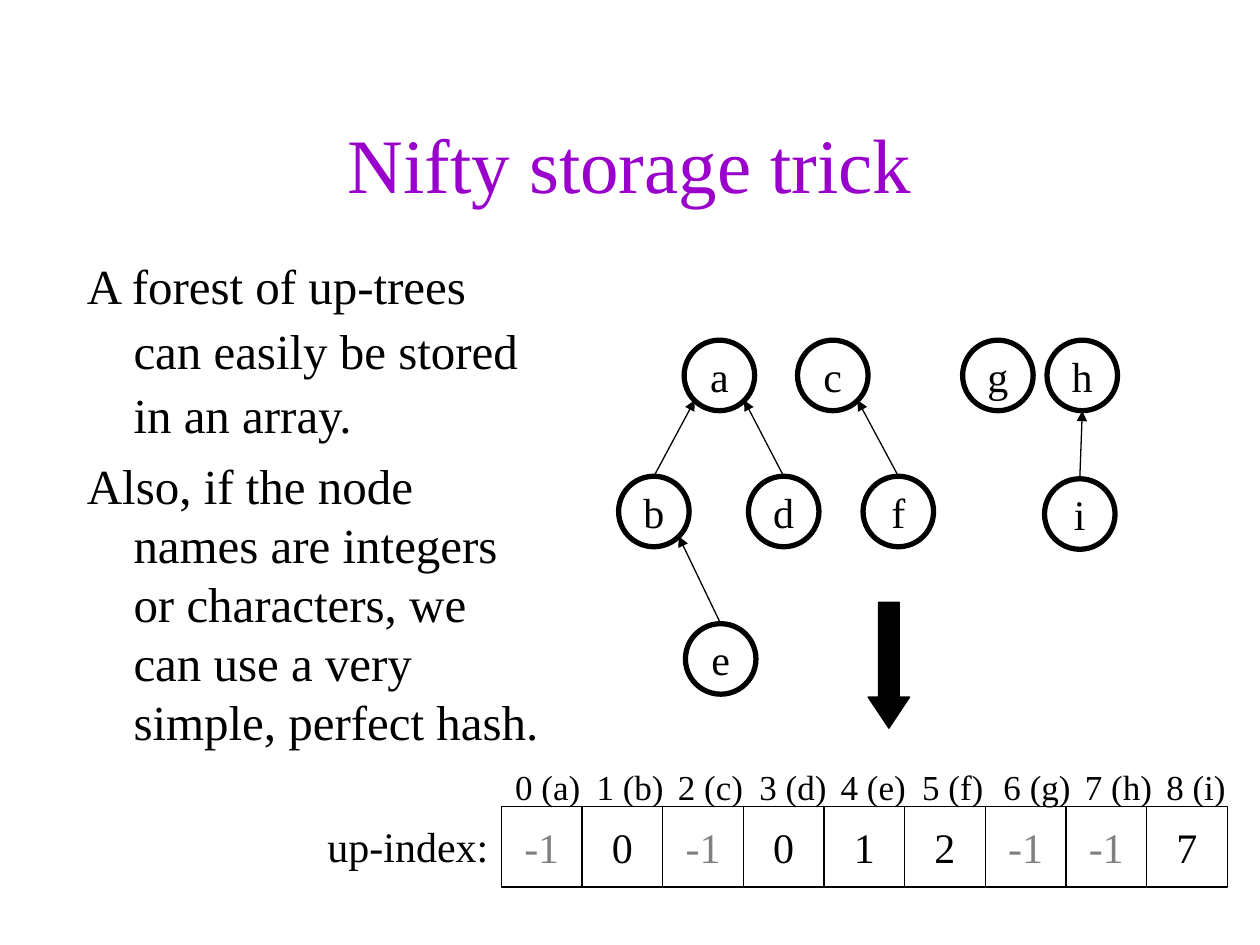
from dataclasses import dataclass
from typing import NamedTuple

from lxml import etree
from pptx import Presentation
from pptx import util as u
from pptx.dml.color import RGBColor
from pptx.enum import shapes, text
from pptx.oxml.ns import qn

PX = u.Inches(1) // 100  # 100 px to the inch


@dataclass(frozen=True)
class Theme:
    font: str = "Times New Roman"
    ink: RGBColor = RGBColor(0x00, 0x00, 0x00)
    muted: RGBColor = RGBColor(0x80, 0x80, 0x80)
    accent: RGBColor = RGBColor(0x99, 0x00, 0xCC)
    title: int = 44
    body: int = 28
    label: int = 24
    index: int = 20
    thin: float = 0.75
    thick: float = 3


class Node(NamedTuple):
    name: str
    left: int
    top: int
    parent: str = ""


class Slot(NamedTuple):
    name: str
    up: int


THEME = Theme()
NODE = 56
CELL = 64
ARRAY_LEFT, ARRAY_TOP = 398, 640
LABEL_PITCH = 64.6

NODES = [
    Node("a", 543, 270), Node("b", 491, 378, "a"), Node("c", 633, 270),
    Node("d", 594, 378, "a"), Node("e", 544, 495, "b"), Node("f", 685, 378, "c"),
    Node("g", 764, 270), Node("h", 831, 270), Node("i", 829, 380, "h"),
]
SLOTS = [
    Slot("a", -1), Slot("b", 0), Slot("c", -1), Slot("d", 0), Slot("e", 1),
    Slot("f", 2), Slot("g", -1), Slot("h", -1), Slot("i", 7),
]
POINTS = [
    ("A forest of up-trees can easily be stored in an array.", 1.1, 0),
    ("Also, if the node names are integers or characters, we can use a very "
     "simple, perfect hash.", 1.0, 7),
]


def px(*lengths: float) -> list[int]:
    return [round(length * PX) for length in lengths]


def style(paragraph, size: int, color: RGBColor = THEME.ink) -> None:
    font = paragraph.font
    font.name, font.size = THEME.font, u.Pt(size)
    font.color.rgb = color


def place(placeholder, left: int, top: int, width: int, height: int) -> None:
    placeholder.left, placeholder.top, placeholder.width, placeholder.height = px(
        left, top, width, height)
    placeholder.text_frame.auto_size = text.MSO_AUTO_SIZE.NONE


def add_outlined(parent, kind, left: int, top: int, size: int, label: str,
                 weight: float, color: RGBColor = THEME.ink):
    outlined = parent.add_shape(kind, *px(left, top, size, size))
    outlined.shadow.inherit = False
    outlined.fill.background()
    outlined.line.color.rgb = THEME.ink
    outlined.line.width = u.Pt(weight)
    frame = outlined.text_frame
    frame.word_wrap = False
    frame.vertical_anchor = text.MSO_ANCHOR.MIDDLE
    frame.text = label
    frame.paragraphs[0].alignment = text.PP_ALIGN.CENTER
    style(frame.paragraphs[0], THEME.label, color)
    return outlined


def add_up_link(parent, child: Node, target: Node, child_circle) -> None:
    """Arrow from the child's top to the nearest lower point of its parent."""
    radius = NODE / 2
    offset = child.left - target.left
    if abs(offset) < 10:
        dx, dy = 0, radius
    else:
        dy = radius * 0.7
        dx = dy if offset > 0 else -dy
    link = parent.add_connector(
        shapes.MSO_CONNECTOR.STRAIGHT,
        *px(child.left + radius, child.top,
            target.left + radius + dx, target.top + radius + dy))
    link.begin_connect(child_circle, 0)
    link.line.color.rgb = THEME.ink
    link.line.width = u.Pt(THEME.thin)
    etree.SubElement(link.line._get_or_add_ln(), qn("a:tailEnd"), type="triangle")
    etree.SubElement(link._element.spPr, qn("a:effectLst"))


def add_label(parent, left: int, top: int, width: int, height: int,
              words: str, size: int, wrap: bool):
    frame = parent.add_textbox(*px(left, top, width, height)).text_frame
    frame.word_wrap = wrap
    frame.text = words
    style(frame.paragraphs[0], size)
    return frame.paragraphs[0]


def add_array(parent) -> None:
    for i, slot in enumerate(SLOTS):
        color = THEME.muted if slot.up < 0 else THEME.ink
        add_outlined(parent, shapes.MSO_SHAPE.RECTANGLE, ARRAY_LEFT + i * CELL,
                     ARRAY_TOP, CELL, str(slot.up), THEME.thin, color)
    # Index labels sit on evenly spaced tab stops
    indexes = add_label(parent, 399, 603, 600, 44, "", THEME.index, True)
    tabs = etree.SubElement(indexes._p.get_or_add_pPr(), qn("a:tabLst"))
    for i in range(1, len(SLOTS)):
        etree.SubElement(tabs, qn("a:tab"), pos=str(px(i * LABEL_PITCH)[0]), algn="l")
    indexes.add_run().text = "\t".join(f"{i} ({s.name})" for i, s in enumerate(SLOTS))
    style(indexes, THEME.index)


def add_points(body) -> None:
    place(body, 58, 193, 383, 440)
    frame = body.text_frame
    for i, (words, spacing, before) in enumerate(POINTS):
        point = frame.paragraphs[0] if i == 0 else frame.add_paragraph()
        point.text = words
        properties = point._p.get_or_add_pPr()
        properties.set("marL", str(px(38)[0]))
        properties.set("indent", str(px(-37)[0]))
        point.line_spacing = spacing
        point.space_before = u.Pt(before)
        etree.SubElement(properties, qn("a:buNone"))
        style(point, THEME.body)


def main() -> None:
    deck = Presentation()
    deck.slide_width, deck.slide_height = px(1000, 750)
    slide = deck.slides.add_slide(deck.slide_layouts[1])
    canvas = slide.shapes

    # Title and explanation
    title = canvas.title
    place(title, 75, 67, 850, 125)
    title.text_frame.text = "Nifty storage trick"
    title.text_frame.vertical_anchor = text.MSO_ANCHOR.MIDDLE
    title.text_frame.paragraphs[0].alignment = text.PP_ALIGN.CENTER
    style(title.text_frame.paragraphs[0], THEME.title, THEME.accent)
    add_points(slide.placeholders[1])

    # Forest of up-trees
    by_name = {node.name: node for node in NODES}
    for node in NODES:
        circle = add_outlined(canvas, shapes.MSO_SHAPE.OVAL, node.left, node.top,
                              NODE, node.name, THEME.thick)
        if node.parent:
            add_up_link(canvas, node, by_name[node.parent], circle)

    # Arrow from the forest to the array
    arrow = canvas.add_shape(shapes.MSO_SHAPE.DOWN_ARROW, *px(689, 478, 33, 100))
    arrow.adjustments[0], arrow.adjustments[1] = 0.5, 0.75
    arrow.shadow.inherit = False
    arrow.fill.solid()
    arrow.fill.fore_color.rgb = THEME.ink
    arrow.line.color.rgb = THEME.ink
    arrow.line.width = u.Pt(THEME.thin)

    # Array with its indexes
    add_array(canvas.add_group_shape().shapes)
    add_label(canvas, 250, 646, 148, 50, "up-index:", THEME.label, False)

    deck.save("out.pptx")


if __name__ == "__main__":
    main()
